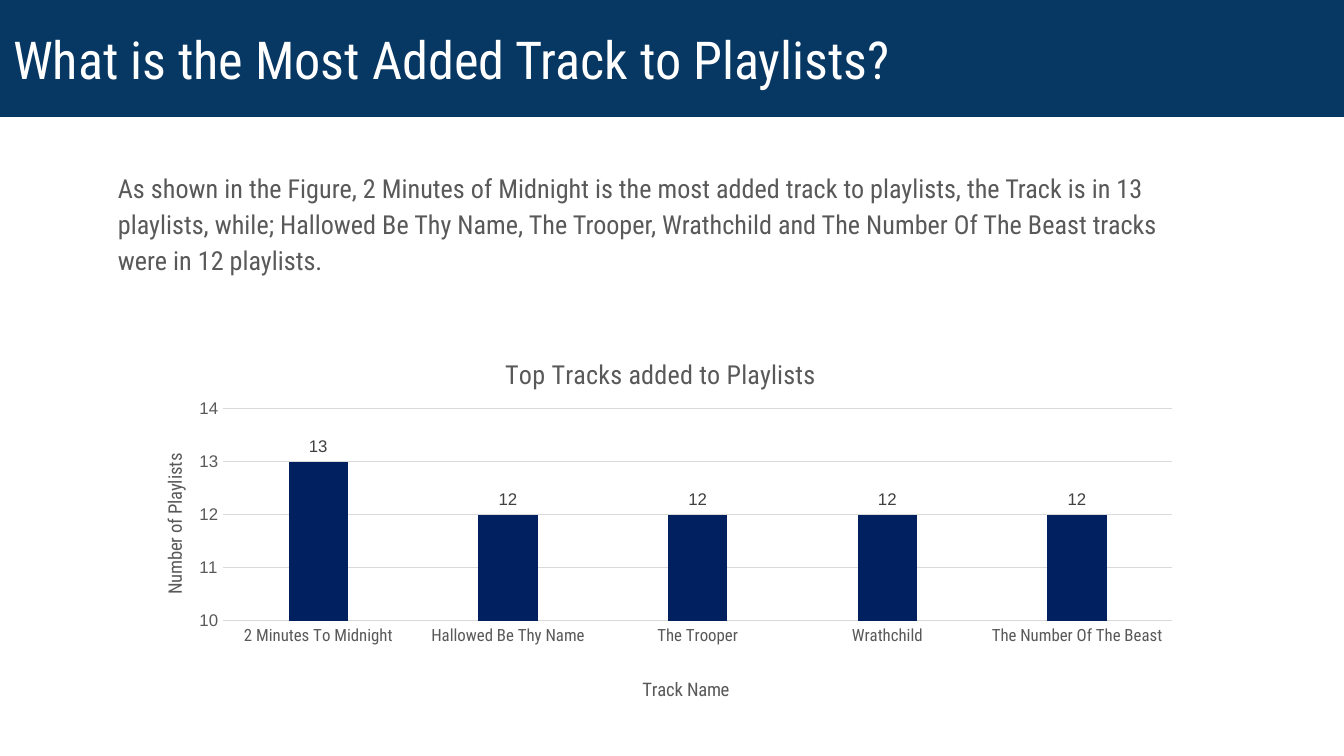
from dataclasses import dataclass

from lxml import etree
from pptx import Presentation
from pptx import util as u
from pptx.chart.data import CategoryChartData
from pptx.dml.color import RGBColor
from pptx.enum import chart as charts, shapes, text
from pptx.oxml.ns import qn


@dataclass(frozen=True)
class Theme:
    """Colours, fonts and type sizes of the slide."""
    banner: str = "073763"
    heading: str = "FFFFFF"
    body: str = "595959"
    bar: str = "002060"
    value: str = "404040"
    grid: str = "D9D9D9"
    font: str = "Roboto Condensed"
    digits: str = "Arial"
    heading_size: float = 28
    body_size: float = 14
    axis_title_size: float = 10
    label_size: float = 9


THEME = Theme()


def style(font, size, color, name=THEME.font):
    """Set size, colour and typeface of a font."""
    font.size = u.Pt(size)
    font.name = name
    font.bold = False
    font.color.rgb = RGBColor.from_string(color)


def write(frame, words, size, color):
    """Put one styled run into the first paragraph and return it."""
    paragraph = frame.paragraphs[0]
    run = paragraph.add_run()
    run.text = words
    style(run.font, size, color)
    return paragraph


def prepare(frame, anchor):
    """Wrap a text frame, with equal insets."""
    frame.word_wrap = True
    frame.vertical_anchor = anchor
    for side in ("left", "right", "top", "bottom"):
        setattr(frame, f"margin_{side}", u.Cm(0.25))


def add_banner(slide, words, box):
    """Add the filled heading band."""
    banner = slide.shapes.add_shape(shapes.MSO_SHAPE.RECTANGLE, *map(u.Cm, box))
    banner.shadow.inherit = False
    banner.fill.solid()
    banner.fill.fore_color.rgb = RGBColor.from_string(THEME.banner)
    banner.line.fill.background()
    prepare(banner.text_frame, text.MSO_ANCHOR.MIDDLE)
    heading = write(banner.text_frame, words, THEME.heading_size, THEME.heading)
    heading.alignment = text.PP_ALIGN.LEFT


def add_summary(slide, words, box):
    """Add the indented paragraph above the chart."""
    summary = slide.shapes.add_textbox(*map(u.Cm, box))
    prepare(summary.text_frame, text.MSO_ANCHOR.TOP)
    paragraph = write(summary.text_frame, words, THEME.body_size, THEME.body)
    paragraph.line_spacing = 1.15
    properties = paragraph._p.get_or_add_pPr()
    properties.set("marL", str(u.Cm(0.38)))
    properties.set("indent", "0")


def place(element, index, **fractions):
    """Give a chart part a manual layout in fractions of the chart."""
    for old in element.findall(qn("c:layout")):
        element.remove(old)
    layout = element.makeelement(qn("c:layout"))
    element.insert(index, layout)
    manual = etree.SubElement(layout, qn("c:manualLayout"))
    settings = {"xMode": "edge", "yMode": "edge", **fractions}
    if "w" in fractions:
        settings = {"layoutTarget": "inner", **settings}
    for tag, value in settings.items():
        etree.SubElement(manual, qn(f"c:{tag}")).set("val", str(value))


def add_title(owner, words, size, x, y):
    """Title a chart or an axis at a fixed place."""
    owner.has_title = True
    title = owner.chart_title if hasattr(owner, "chart_title") else owner.axis_title
    write(title.text_frame, words, size, THEME.body)
    place(title._element, 1, x=x, y=y)


def style_line(line):
    """Draw a thin grey line."""
    line.color.rgb = RGBColor.from_string(THEME.grid)
    line.width = u.Pt(0.75)


def style_axis(axis, font_name):
    """Set an axis without tick marks."""
    axis.major_tick_mark = axis.minor_tick_mark = charts.XL_TICK_MARK.NONE
    style(axis.tick_labels.font, THEME.label_size, THEME.body, font_name)


def add_track_chart(slide, counts, box):
    """Add the column chart of playlist counts."""
    data = CategoryChartData(number_format="0")
    data.categories = list(counts)
    data.add_series("Series 1", list(counts.values()))
    chart = slide.shapes.add_chart(
        charts.XL_CHART_TYPE.COLUMN_CLUSTERED, *map(u.Cm, box), data).chart
    chart.has_legend = False
    style(chart.font, THEME.axis_title_size, "000000", THEME.digits)
    add_title(chart, "Top Tracks added to Playlists", THEME.body_size, 0.35, 0.06)

    tracks, playlists = chart.category_axis, chart.value_axis
    style_axis(tracks, THEME.font)
    style_line(tracks.format.line)
    add_title(tracks, "Track Name", THEME.axis_title_size, 0.48, 0.91)

    style_axis(playlists, THEME.digits)
    playlists.format.line.fill.background()
    playlists.minimum_scale, playlists.maximum_scale = 10, 14
    playlists.major_unit = 1
    playlists.has_major_gridlines = True
    style_line(playlists.major_gridlines.format.line)
    add_title(playlists, "Number of Playlists", THEME.axis_title_size, 0.03, 0.32)

    plot = chart.plots[0]
    plot.gap_width, plot.overlap = 219, -27
    plot.vary_by_categories = False
    bars = plot.series[0]
    bars.format.fill.solid()
    bars.format.fill.fore_color.rgb = RGBColor.from_string(THEME.bar)
    labels = bars.data_labels
    labels.show_value = True
    labels.position = charts.XL_LABEL_POSITION.OUTSIDE_END
    style(labels.font, THEME.label_size, THEME.value, THEME.digits)
    plot_area = chart._chartSpace.chart.plotArea
    place(plot_area, 0, x=0.09, y=0.21, w=0.89, h=0.56)


def main():
    """Build and save the slide."""
    deck = Presentation()
    deck.slide_width, deck.slide_height = u.Cm(25.4), u.Cm(14.29)
    slide = deck.slides.add_slide(deck.slide_layouts[6])
    add_banner(slide, "What is the Most Added Track to Playlists?", (0, 0, 25.4, 2.21))
    add_summary(
        slide,
        "As shown in the Figure, 2 Minutes of Midnight is the most added track to "
        "playlists, the Track is in 13 playlists, while; Hallowed Be Thy Name, The "
        "Trooper, Wrathchild and The Number Of The Beast tracks were in 12 playlists.",
        (1.6, 2.92, 21.13, 2.21))
    counts = {
        "2 Minutes To Midnight": 13,
        "Hallowed Be Thy Name": 12,
        "The Trooper": 12,
        "Wrathchild": 12,
        "The Number Of The Beast": 12,
    }
    add_track_chart(slide, counts, (2.41, 6.22, 20.14, 7.16))
    deck.save("out.pptx")


main()
